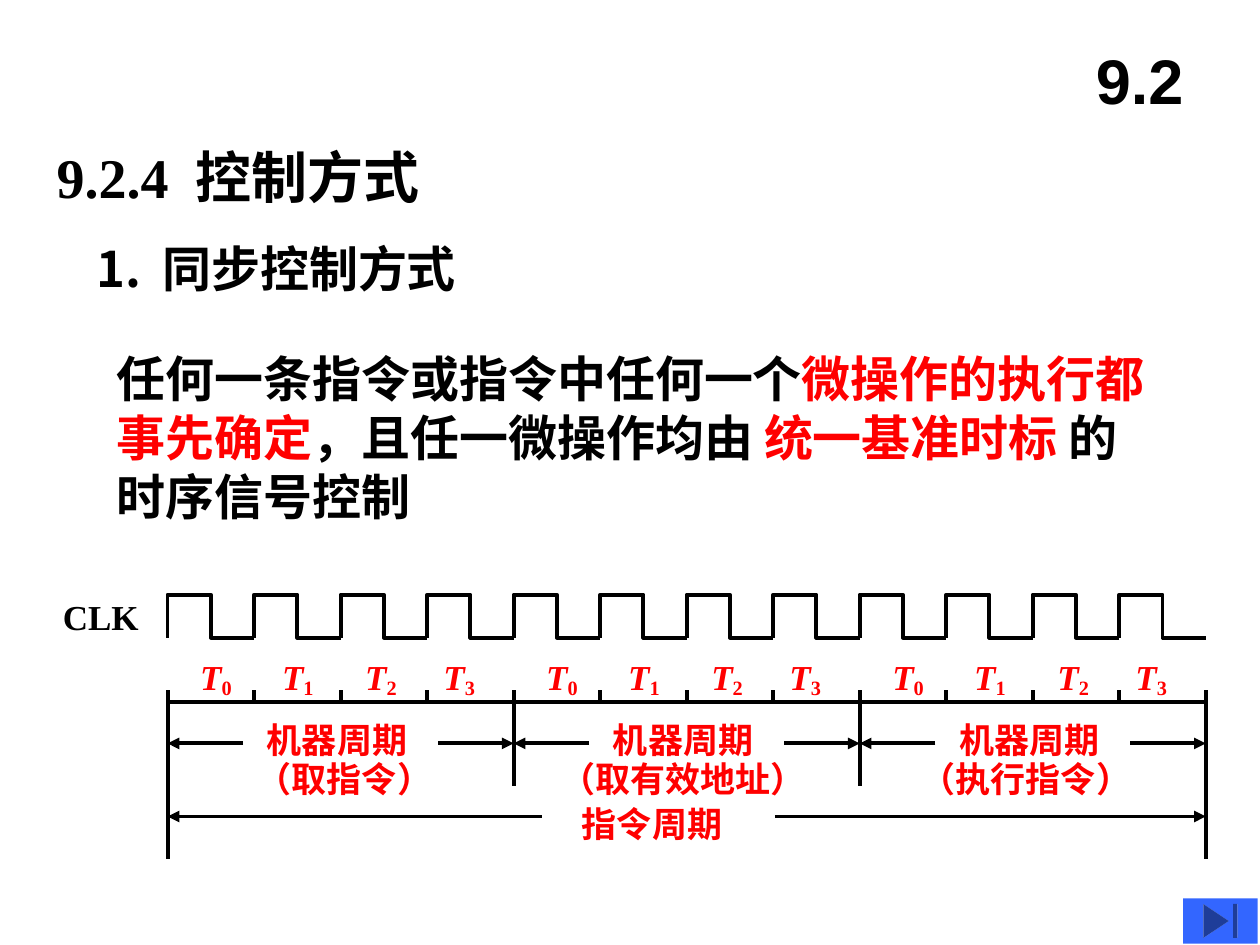
from lxml import etree
from pptx import Presentation
from pptx.dml.color import RGBColor
from pptx.enum import shapes, text
from pptx.oxml.ns import qn
from pptx.util import Inches, Pt

BLACK = RGBColor(0, 0, 0)
RED = RGBColor(255, 0, 0)
BLUE = RGBColor(0x33, 0x66, 0xFF)
SERIF = "Times New Roman"
CJK = "Noto Sans CJK SC"

prs = Presentation()
prs.slide_width, prs.slide_height = Inches(10), Inches(7.5)
slide = prs.slides.add_slide(prs.slide_layouts[6])


def write(left, top, width, height, parts, size, font=SERIF, wrap=False, tab=None):
    box = slide.shapes.add_textbox(Inches(left), Inches(top), Inches(width), Inches(height))
    frame = box.text_frame
    frame.word_wrap = wrap
    frame.auto_size = text.MSO_AUTO_SIZE.SHAPE_TO_FIT_TEXT
    paragraph = frame.paragraphs[0]
    if tab:
        stops = etree.SubElement(paragraph._p.get_or_add_pPr(), qn("a:tabLst"))
        etree.SubElement(stops, qn("a:tab"), pos=str(Inches(tab)), algn="l")
    for words, color in parts:
        run = paragraph.add_run()
        run.text = words
        run.font.name, run.font.size, run.font.bold = font, Pt(size), True
        run.font.color.rgb = color
        etree.SubElement(run._r.get_or_add_rPr(), qn("a:ea"), typeface=CJK)
    return frame


def draw_line(x1, y1, x2, y2, arrow=False):
    line = slide.shapes.add_connector(
        shapes.MSO_CONNECTOR.STRAIGHT, Inches(x1), Inches(y1), Inches(x2), Inches(y2))
    line.line.color.rgb = BLACK
    line.line.width = Pt(2.25)
    if arrow:
        etree.SubElement(line.line._get_or_add_ln(), qn("a:tailEnd"), type="triangle")
    etree.SubElement(line._element.spPr, qn("a:effectLst"))


write(0.35, 1.08, 3.39, 0.64, [("9.2.4\t控制方式", BLACK)], 32, wrap=True, tab=1.1)
write(0.67, 1.84, 4.08, 0.57, [("1.\t同步控制方式", BLACK)], 28, CJK, True, 0.52)

end_button = slide.shapes.add_shape(
    shapes.MSO_SHAPE.ACTION_BUTTON_END, Inches(9.39), Inches(7.13), Inches(0.59), Inches(0.36))
end_button.shadow.inherit = False
end_button.fill.solid()
end_button.fill.fore_color.rgb = BLUE
end_button.line.fill.background()

section = write(8.42, 0.17, 1.25, 0.92, [("9.2", BLACK)], 36, "Arial", True)
section.auto_size = text.MSO_AUTO_SIZE.NONE
section.vertical_anchor = text.MSO_ANCHOR.MIDDLE
section.paragraphs[0].alignment = text.PP_ALIGN.CENTER

write(0.83, 2.72, 8.37, 1.5, [
    ("任何一条指令或指令中任何一个", BLACK),
    ("微操作的执行都事先确定", RED),
    ("，且任一微操作均由 ", BLACK),
    ("统一基准时标 ", RED),
    ("的时序信号控制", BLACK),
], 28, CJK, True)

START, END = 1.33, 9.57
BEAT = (END - START) / 12
CYCLE = 4 * BEAT
HIGH, LOW = 4.72, 5.06
TICK_TOP, AXIS = 5.48, 5.57

write(0.4, 4.68, 0.8, 0.44, [("CLK", BLACK)], 20)
for beat in range(12):
    left = START + beat * BEAT
    corners = [(left, HIGH), (left + BEAT / 2, HIGH), (left + BEAT / 2, LOW), (left + BEAT, LOW)]
    builder = slide.shapes.build_freeform(Inches(left), Inches(LOW))
    builder.add_line_segments([(Inches(x), Inches(y)) for x, y in corners], close=False)
    pulse = builder.convert_to_shape()
    pulse.shadow.inherit = False
    pulse.fill.background()
    pulse.line.color.rgb = BLACK
    pulse.line.width = Pt(2.25)

draw_line(START, AXIS, END, AXIS)
for beat in range(13):
    x = START + beat * BEAT
    bottom = 6.82 if beat in (0, 12) else 6.24 if beat % 4 == 0 else AXIS
    draw_line(x, TICK_TOP, x, bottom)

phases = [("（取指令）", 1.94, 1.59), ("（取有效地址）", 4.35, 2.15), ("（执行指令）", 7.21, 1.87)]
for cycle, (phase, phase_left, phase_width) in enumerate(phases):
    left = START + cycle * CYCLE
    right = left + CYCLE
    draw_line(left + 0.6, 5.9, left, 5.9, True)
    draw_line(right - 0.6, 5.9, right, 5.9, True)
    write(left + 0.69, 5.65, 1.31, 0.44, [("机器周期", RED)], 20)
    write(phase_left, 5.96, phase_width, 0.44, [(phase, RED)], 20)
    for beat, offset in enumerate((0.16, 0.81, 1.47, 2.09)):
        label = write(left + offset, 5.15, 0.45, 0.45, [("T", RED), (str(beat), RED)], 20)
        letter, index = label.paragraphs[0].runs
        letter.font.italic = True
        index._r.get_or_add_rPr().set("baseline", "-15000")

draw_line(4.3, 6.48, START, 6.48, True)
draw_line(6.15, 6.48, END, 6.48, True)
write(4.52, 6.32, 1.31, 0.44, [("指令周期", RED)], 20)

prs.save("out.pptx")
